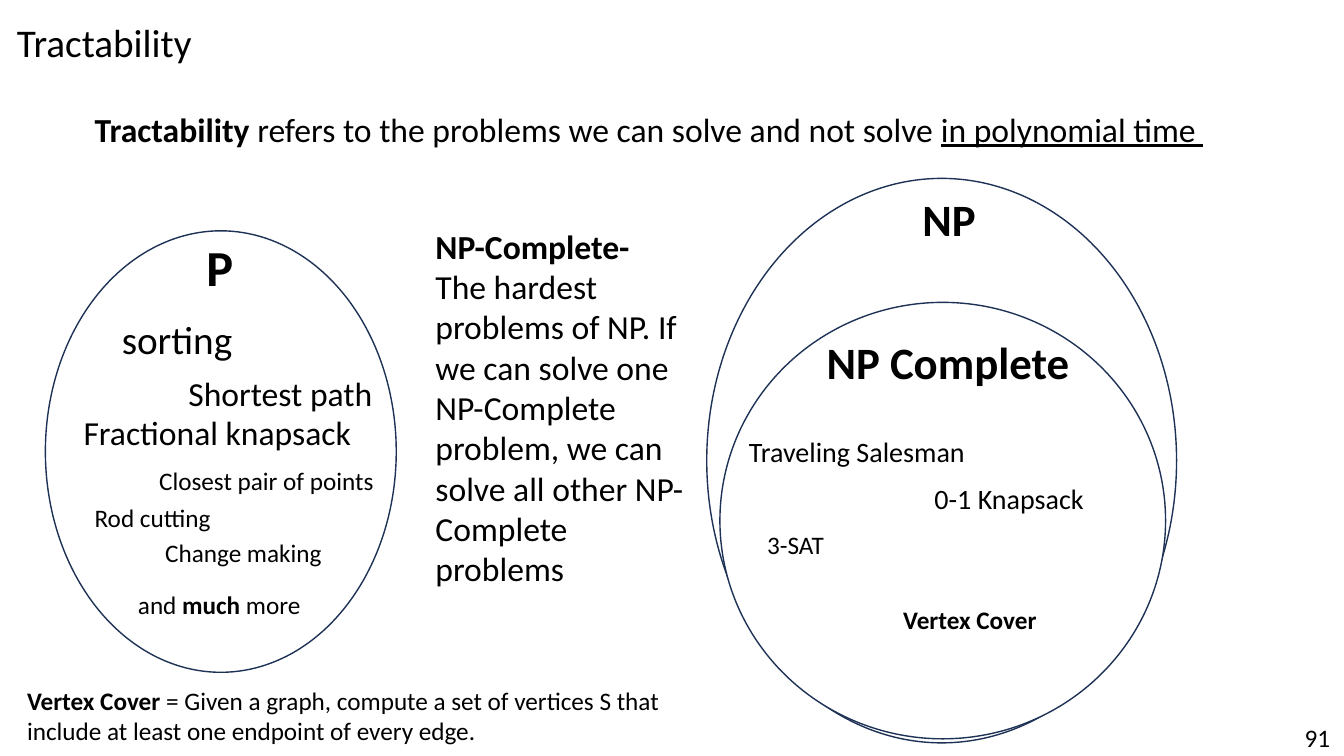
"""Builds the slide on tractability with its P, NP and NP Complete sets."""
from dataclasses import dataclass

from pptx import Presentation
from pptx import util as u
from pptx.dml import color
from pptx.enum import shapes, text


@dataclass(frozen=True)
class Theme:
    font: str = "Calibri"
    ink: str = "000000"
    paper: str = "FFFFFF"
    outline: str = "1E3256"
    outline_width: float = 1
    set_p: int = 36
    set_np: int = 32
    title: int = 28
    body: int = 24
    example: int = 20
    small: int = 18


class Board:
    COLUMNS, ROWS = 133.3, 75

    def __init__(self, deck, theme):
        self.theme = theme
        self.slide = deck.slides.add_slide(deck.slide_layouts[6])
        self.column = deck.slide_width / self.COLUMNS
        self.row = deck.slide_height / self.ROWS

    def area(self, left, top, width, height):
        return (u.Emu(round(left * self.column)), u.Emu(round(top * self.row)),
                u.Emu(round(width * self.column)), u.Emu(round(height * self.row)))

    def ellipse(self, left, top, width, height):
        oval = self.slide.shapes.add_shape(
            shapes.MSO_SHAPE.OVAL, *self.area(left, top, width, height))
        oval.shadow.inherit = False
        oval.fill.solid()
        oval.fill.fore_color.rgb = color.RGBColor.from_string(self.theme.paper)
        oval.line.color.rgb = color.RGBColor.from_string(self.theme.outline)
        oval.line.width = u.Pt(self.theme.outline_width)

    def label(self, left, top, width, size, *parts, lines=1, wrap=False):
        height = lines * size / 6 + 1
        box = self.slide.shapes.add_textbox(*self.area(left, top, width, height))
        frame = box.text_frame
        frame.word_wrap = wrap
        frame.auto_size = text.MSO_AUTO_SIZE.SHAPE_TO_FIT_TEXT
        for wording, *marks in parts:
            run = frame.paragraphs[0].add_run()
            run.text = wording
            run.font.name = self.theme.font
            run.font.size = u.Pt(size)
            run.font.color.rgb = color.RGBColor.from_string(self.theme.ink)
            run.font.bold = "bold" in marks
            run.font.underline = "underline" in marks

    def labels(self, entries):
        for left, top, width, size, *parts in entries:
            self.label(left, top, width, size, *parts)


def main():
    deck = Presentation()
    deck.slide_width, deck.slide_height = u.Inches(13.33), u.Inches(7.5)
    theme = Theme()
    board = Board(deck, theme)

    board.labels([
        (0.7, 1.3, 19.5, theme.title, ("Tractability",)),
        (8.4, 10.3, 112.5, theme.body, ("Tractability", "bold"),
         (" refers to the problems we can solve and not solve ",),
         ("in polynomial time ", "underline")),
    ])

    board.ellipse(4.5, 22.9, 34.8, 43.8)
    board.labels([
        (19.5, 22.9, 4.7, theme.set_p, ("P", "bold")),
        (11.1, 30.8, 13.1, theme.title, ("sorting",)),
        (17.7, 36.5, 20.4, theme.body, ("Shortest path",)),
        (7.3, 40.4, 28.8, theme.body, ("Fractional knapsack",)),
        (14.8, 45.7, 23.5, theme.small, ("Closest pair of points",)),
        (8.4, 49.3, 14.3, theme.small, ("Rod cutting",)),
        (15.4, 52.8, 17.7, theme.small, ("Change making",)),
        (12.7, 58, 18.3, theme.small, ("and ",), ("much", "bold"), (" more",)),
    ])

    board.ellipse(70.1, 17.7, 46.6, 56)
    board.label(90.5, 18.5, 7.4, theme.set_np, ("NP", "bold"))
    board.ellipse(71.4, 30, 44.2, 43.3)
    board.labels([
        (81, 32.7, 26.3, theme.set_np, ("NP Complete", "bold")),
        (73.3, 42.6, 23.7, theme.example, ("Traveling Salesman",)),
        (91.7, 47.3, 17, theme.example, ("0-1 Knapsack",)),
        (75.1, 52, 7.7, theme.small, ("3-SAT",)),
        (88.6, 59.5, 15.3, theme.small, ("Vertex Cover", "bold")),
    ])

    board.label(42.2, 21.9, 26.8, theme.body, ("NP-Complete- ", "bold"),
                ("The hardest problems of NP. If we can solve one NP-Complete "
                 "problem, we can solve all other NP-Complete problems",),
                lines=9, wrap=True)
    board.label(1.7, 67.5, 69.7, theme.small, ("Vertex Cover ", "bold"),
                ("= Given a graph, compute a set of vertices S that include "
                 "at least one endpoint of every edge.",),
                lines=2, wrap=True)
    board.label(128.4, 71.2, 4.7, theme.small, ("91",), wrap=True)

    deck.save("out.pptx")


if __name__ == "__main__":
    main()
